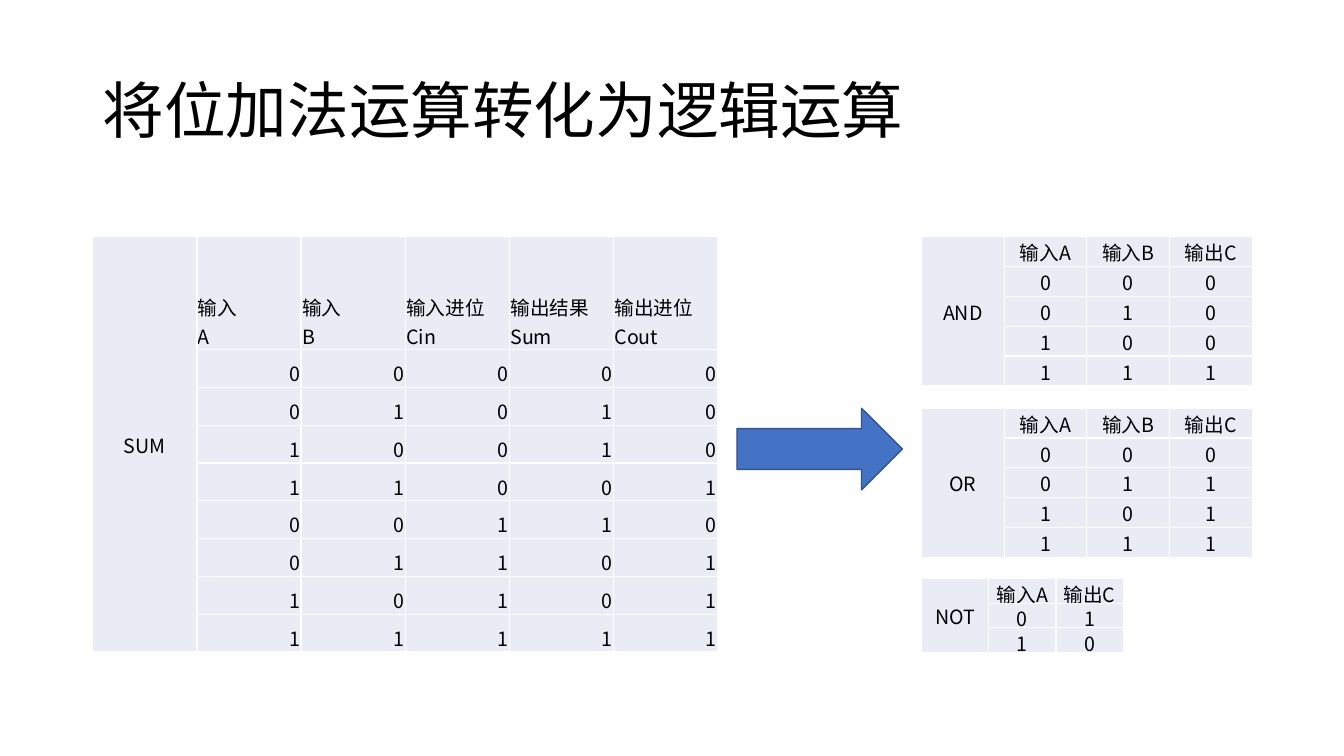
from dataclasses import dataclass
from itertools import product

from lxml.etree import SubElement
from pptx import Presentation
from pptx.dml.color import RGBColor
from pptx.enum.shapes import MSO_SHAPE
from pptx.enum.text import MSO_ANCHOR, PP_ALIGN
from pptx.oxml.ns import qn
from pptx.util import Inches, Pt


@dataclass(frozen=True)
class Theme:
    text: RGBColor = RGBColor(0x00, 0x00, 0x00)
    cell: RGBColor = RGBColor(0xE9, 0xEB, 0xF5)
    border: str = "FFFFFF"
    arrow: RGBColor = RGBColor(0x44, 0x72, 0xC4)
    arrow_line: RGBColor = RGBColor(0x32, 0x54, 0x91)
    title_font: str = "Calibri"
    body_font: str = "Noto Sans CJK SC"
    title_size: int = 44
    body_size: int = 14


THEME = Theme()
GATE_HEADERS = ["输入A", "输入B", "输出C"]
SUM_HEADERS = ["输入\nA", "输入\nB", "输入进位\nCin", "输出结果\nSum", "输出进位\nCout"]


def format_runs(paragraph, font_name, size):
    """Style every run, and give line breaks the same size."""
    for run in paragraph.runs:
        run.font.name = font_name
        run.font.size = Pt(size)
        run.font.color.rgb = THEME.text
        SubElement(run.font._element, qn("a:ea"), typeface=THEME.body_font)
    for line_break in paragraph._p.findall(qn("a:br")):
        SubElement(line_break, qn("a:rPr"), sz=str(size * 100))


def add_title(slide, box, text):
    text_frame = slide.shapes.add_textbox(*map(Inches, box)).text_frame
    text_frame.word_wrap = True
    text_frame.vertical_anchor = MSO_ANCHOR.MIDDLE
    paragraph = text_frame.paragraphs[0]
    paragraph.text = text
    paragraph.line_spacing = 0.9
    format_runs(paragraph, THEME.title_font, THEME.title_size)


def add_borders(cell):
    properties = cell._tc.get_or_add_tcPr()
    for side in ("a:lnL", "a:lnR", "a:lnT", "a:lnB"):
        line = SubElement(properties, qn(side), w=str(Pt(1)))
        fill = SubElement(line, qn("a:solidFill"))
        SubElement(fill, qn("a:srgbClr"), val=THEME.border)


def style_cell(cell, anchor):
    add_borders(cell)
    cell.fill.solid()
    cell.fill.fore_color.rgb = THEME.cell
    cell.vertical_anchor = anchor
    cell.margin_left = cell.margin_top = cell.margin_right = Inches(0.01)
    cell.margin_bottom = 0


def fill_cell(cell, text, alignment):
    paragraph = cell.text_frame.paragraphs[0]
    paragraph.text = str(text)
    paragraph.alignment = alignment
    format_runs(paragraph, THEME.body_font, THEME.body_size)


def add_truth_table(slide, box, name, headers, rows, header_height=None,
                    header_alignment=PP_ALIGN.CENTER, value_alignment=PP_ALIGN.CENTER):
    """Draw a truth table whose first column is one merged cell with its name."""
    left, top, width, height = box
    row_count, column_count = len(rows) + 1, len(headers) + 1
    header_height = header_height or height / row_count
    table = slide.shapes.add_table(row_count, column_count, *map(Inches, box)).table
    table.first_row = table.horz_banding = False
    for column in table.columns:
        column.width = Inches(width / column_count)
    for row in table.rows:
        row.height = Inches((height - header_height) / len(rows))
    table.rows[0].height = Inches(header_height)

    for row_index, values in enumerate([headers, *rows]):
        alignment = value_alignment if row_index else header_alignment
        style_cell(table.cell(row_index, 0), MSO_ANCHOR.MIDDLE)
        for column_index, value in enumerate(values, start=1):
            cell = table.cell(row_index, column_index)
            style_cell(cell, MSO_ANCHOR.BOTTOM)
            fill_cell(cell, value, alignment)
    name_cell = table.cell(0, 0)
    name_cell.merge(table.cell(row_count - 1, 0))
    fill_cell(name_cell, name, PP_ALIGN.CENTER)


def add_sum_table(slide, box):
    rows = []
    for carry, a, b in product((0, 1), repeat=3):
        total = a + b + carry
        rows.append((a, b, carry, total % 2, total // 2))
    add_truth_table(slide, box, "SUM", SUM_HEADERS, rows, header_height=1.12,
                    header_alignment=PP_ALIGN.LEFT, value_alignment=PP_ALIGN.RIGHT)


def add_gate_tables(slide, box):
    left, top, width, height = box
    pairs = list(product((0, 1), repeat=2))
    and_rows = [(a, b, a & b) for a, b in pairs]
    or_rows = [(a, b, a | b) for a, b in pairs]
    add_truth_table(slide, (left, top, width, 1.48), "AND", GATE_HEADERS, and_rows)
    add_truth_table(slide, (left, top + 1.7, width, 1.48), "OR", GATE_HEADERS, or_rows)
    not_height = 0.73
    add_truth_table(slide, (left, top + height - not_height, 2, not_height),
                    "NOT", ["输入A", "输出C"], [(0, 1), (1, 0)])


def add_arrow(slide, box):
    arrow = slide.shapes.add_shape(MSO_SHAPE.RIGHT_ARROW, *map(Inches, box))
    arrow.shadow.inherit = False
    arrow.fill.solid()
    arrow.fill.fore_color.rgb = THEME.arrow
    arrow.line.color.rgb = THEME.arrow_line
    arrow.line.width = Pt(1)


def main():
    presentation = Presentation()
    presentation.slide_width = Inches(13.33)
    presentation.slide_height = Inches(7.5)
    slide = presentation.slides.add_slide(presentation.slide_layouts[6])
    add_title(slide, (0.92, 0.4, 11.5, 1.45), "将位加法运算转化为逻辑运算")
    add_sum_table(slide, (0.92, 2.35, 6.2, 4.12))
    add_gate_tables(slide, (9.14, 2.35, 3.28, 4.12))
    add_arrow(slide, (7.31, 4.05, 1.64, 0.81))
    presentation.save("out.pptx")


if __name__ == "__main__":
    main()
